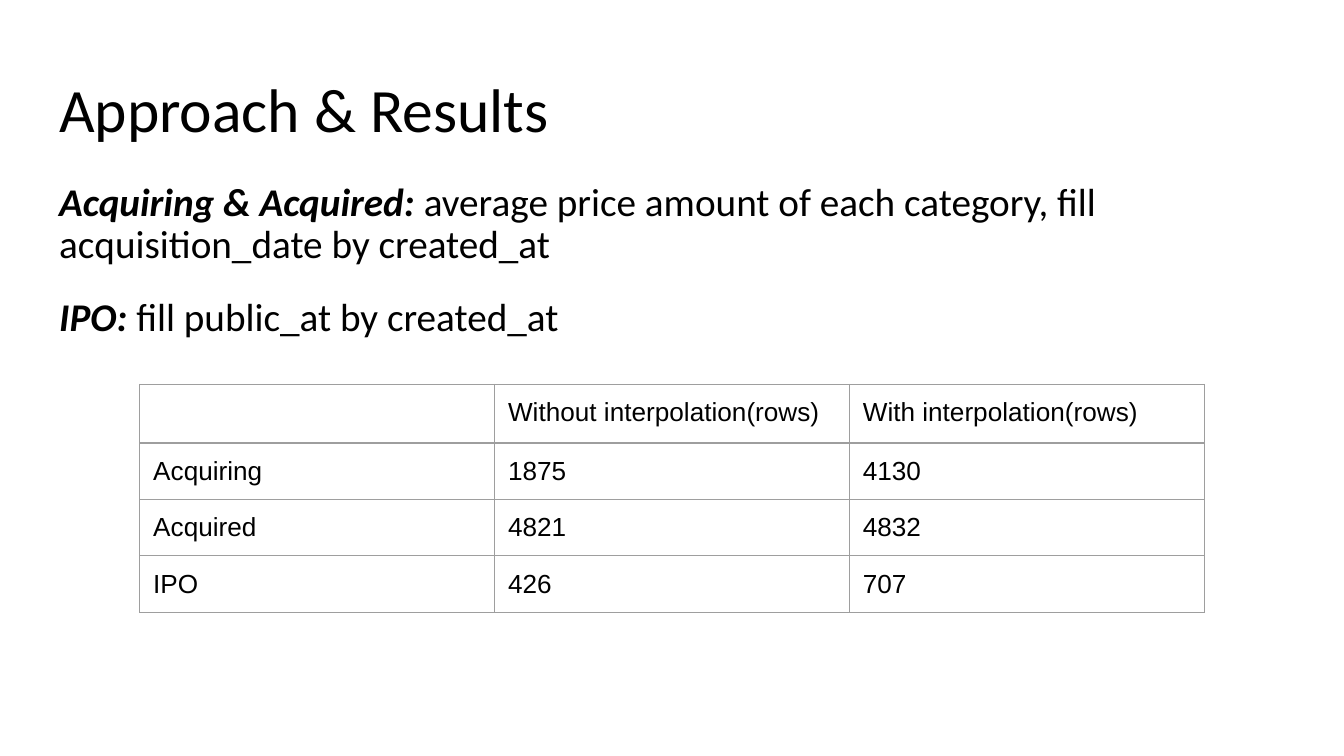
from lxml import etree
from pptx import Presentation
from pptx.dml.color import RGBColor
from pptx.enum.text import MSO_ANCHOR, MSO_AUTO_SIZE, PP_ALIGN
from pptx.oxml.ns import qn
from pptx.util import Inches, Pt

TOP = MSO_ANCHOR.TOP
NO_AUTOFIT = MSO_AUTO_SIZE.NONE
LEFT = PP_ALIGN.LEFT

BLACK = RGBColor(0x00, 0x00, 0x00)
GRID_GRAY = RGBColor(0x9E, 0x9E, 0x9E)

PAGE_WIDTH = Inches(10)
PAGE_HEIGHT = PAGE_WIDTH * 9 // 16

INSET = Inches(0.1)
MARGINS = {f"margin_{side}": INSET for side in ("left", "top", "right", "bottom")}
FRAME_FORMAT = {**MARGINS, "word_wrap": True, "auto_size": NO_AUTOFIT,
                "vertical_anchor": TOP}
CELL_FORMAT = {**MARGINS, "vertical_anchor": TOP}
TITLE_FONT = {"name": "Calibri", "size": Pt(33), "bold": False, "italic": False}
BODY_FONT = {"name": "Calibri", "size": Pt(21), "bold": False, "italic": False}
LABEL_FONT = {**BODY_FONT, "bold": True, "italic": True}
CELL_FONT = {"name": "Arial", "size": Pt(14), "bold": False, "italic": False}

TITLE = "Approach & Results"
STEPS = [
    ("Acquiring & Acquired: ",
     "average price amount of each category, fill acquisition_date by created_at"),
    ("IPO:", " fill public_at by created_at"),
]
ROW_COUNTS = [
    ("", "Without interpolation(rows)", "With interpolation(rows)"),
    ("Acquiring", "1875", "4130"),
    ("Acquired", "4821", "4832"),
    ("IPO", "426", "707"),
]


def apply_format(target, values):
    for name, value in values.items():
        setattr(target, name, value)


def add_span(para, text, font):
    span = para.add_run()
    span.text = text
    apply_format(span.font, font)
    span.font.color.rgb = BLACK


def place(shape, box):
    apply_format(shape, dict(zip(("left", "top", "width", "height"), box)))
    apply_format(shape.text_frame, FRAME_FORMAT)


def format_paragraph(para, space_before):
    """Left-align without bullet or indent, at 90 % line spacing."""
    apply_format(para, {"alignment": LEFT, "line_spacing": 0.9,
                        "space_before": Pt(space_before), "space_after": Pt(0)})
    properties = para._p.get_or_add_pPr()
    properties.set("marL", "0")
    properties.set("indent", "0")
    etree.SubElement(properties, qn("a:buNone"))


def fill_title(title, box):
    place(title, box)
    para = title.text_frame.paragraphs[0]
    format_paragraph(para, 0)
    add_span(para, TITLE, TITLE_FONT)


def fill_body(body, box):
    place(body, box)
    frame = body.text_frame
    for index, (label, detail) in enumerate(STEPS):
        para = frame.add_paragraph() if index else frame.paragraphs[0]
        format_paragraph(para, 16 if index else 0)
        add_span(para, label, LABEL_FONT)
        add_span(para, detail, BODY_FONT)


def draw_borders(cell):
    properties = cell._tc.get_or_add_tcPr()
    for index, side in enumerate(("lnL", "lnR", "lnT", "lnB")):
        line = etree.Element(qn(f"a:{side}"), w=str(Pt(0.75)))
        fill = etree.SubElement(line, qn("a:solidFill"))
        etree.SubElement(fill, qn("a:srgbClr"), val=str(GRID_GRAY))
        properties.insert(index, line)


def fill_cell(cell, text):
    apply_format(cell, CELL_FORMAT)
    cell.fill.background()
    draw_borders(cell)
    para = cell.text_frame.paragraphs[0]
    if text:
        add_span(para, text, CELL_FONT)
    else:
        etree.SubElement(para._p, qn("a:endParaRPr"), sz="1400")


def add_count_table(page, box):
    table = page.shapes.add_table(len(ROW_COUNTS), len(ROW_COUNTS[0]), *box).table
    apply_format(table, {"first_row": False, "horz_banding": False})
    for row, texts in zip(table.rows, ROW_COUNTS):
        for cell, text in zip(row.cells, texts):
            fill_cell(cell, text)


def build_results_slide(deck):
    page = deck.slides.add_slide(deck.slide_layouts[1])
    left, width = Inches(0.34), Inches(9.32)
    fill_title(page.shapes.title, (left, Inches(0.49), width, Inches(0.63)))
    fill_body(page.placeholders[1], (left, Inches(1.26), width, Inches(3.74)))
    add_count_table(page, (Inches(1.04), Inches(2.86), Inches(7.92), Inches(1.68)))


def main():
    deck = Presentation()
    deck.slide_width, deck.slide_height = PAGE_WIDTH, PAGE_HEIGHT
    build_results_slide(deck)
    deck.save("out.pptx")


if __name__ == "__main__":
    main()
